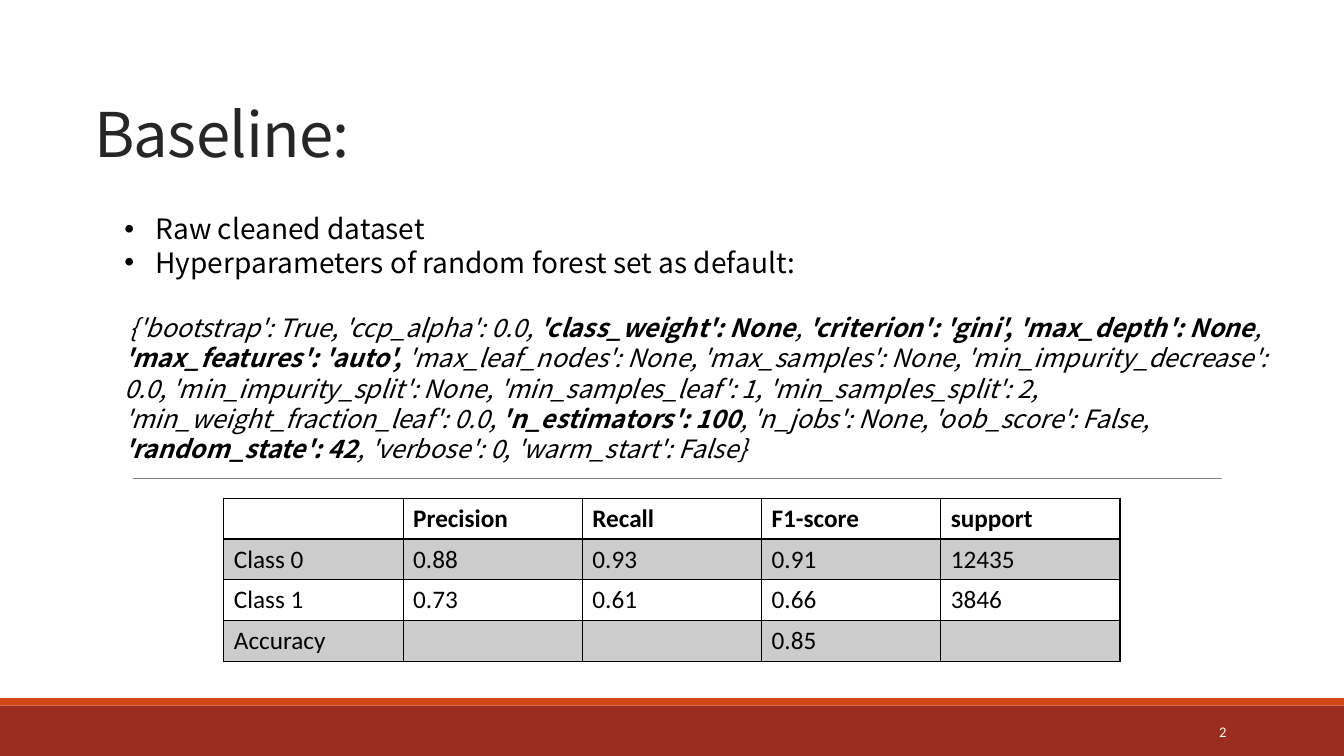
from lxml import etree
from pptx import Presentation
from pptx.dml.color import RGBColor
from pptx.enum.shapes import MSO_CONNECTOR, MSO_SHAPE
from pptx.enum.text import MSO_ANCHOR, MSO_AUTO_SIZE, PP_ALIGN
from pptx.oxml.ns import qn
from pptx.util import Inches, Pt

RECTANGLE = MSO_SHAPE.RECTANGLE
STRAIGHT = MSO_CONNECTOR.STRAIGHT
TOP, MIDDLE, BOTTOM = MSO_ANCHOR.TOP, MSO_ANCHOR.MIDDLE, MSO_ANCHOR.BOTTOM
LEFT, RIGHT = PP_ALIGN.LEFT, PP_ALIGN.RIGHT
NO_FIT = MSO_AUTO_SIZE.NONE
WIDTH, HEIGHT = Inches(13.33), Inches(7.5)
COLUMNS, ROWS = 160, 90
TEXT_FONT, DATA_FONT = "Noto Sans CJK TC", "Calibri"

BULLETS = ["Raw cleaned dataset", "Hyperparameters of random forest set as default:"]
SETTINGS = [
    (" {'bootstrap': True, 'ccp_alpha': 0.0, ", False),
    ("'class_weight': None", True),
    (", ", False),
    ("'criterion': 'gini', 'max_depth': None", True),
    (", ", False),
    ("'max_features': 'auto', ", True),
    ("'max_leaf_nodes': None, 'max_samples': None, 'min_impurity_decrease': 0.0, "
     "'min_impurity_split': None, 'min_samples_leaf': 1, 'min_samples_split': 2, "
     "'min_weight_fraction_leaf': 0.0, ", False),
    ("'n_estimators': 100", True),
    (", 'n_jobs': None, 'oob_score': False, ", False),
    ("'random_state': 42", True),
    (", 'verbose': 0, 'warm_start': False}", False),
]
SCORES = [
    ["", "Precision", "Recall", "F1-score", "support"],
    ["Class 0", "0.88", "0.93", "0.91", "12435"],
    ["Class 1", "0.73", "0.61", "0.66", "3846"],
    ["Accuracy", "", "", "0.85", ""],
]


def color(value):
    return RGBColor.from_string(value)


class SlideBuilder:
    """Draws styled elements on one slide, measured in grid columns and rows."""

    def __init__(self, deck):
        self.slide = deck.slides.add_slide(deck.slide_layouts[1])
        self.shapes = self.slide.shapes

    def area(self, column, row, columns, rows):
        return (int(column * WIDTH / COLUMNS), int(row * HEIGHT / ROWS),
                int(columns * WIDTH / COLUMNS), int(rows * HEIGHT / ROWS))

    def style(self, para, size, font, ink="000000", align=LEFT):
        para.font.size, para.font.name = Pt(size), font
        para.font.color.rgb = color(ink)
        para.alignment = align
        para.space_before = Pt(0)

    def place(self, box, area, anchor):
        box.left, box.top, box.width, box.height = self.area(*area)
        frame = box.text_frame
        frame.word_wrap, frame.auto_size = True, NO_FIT
        frame.vertical_anchor = anchor
        return frame

    def bar(self, area, fill):
        bar = self.shapes.add_shape(RECTANGLE, *self.area(*area))
        bar.shadow.inherit = False
        bar.fill.solid()
        bar.fill.fore_color.rgb = color(fill)
        bar.line.fill.background()

    def rule(self, column, row, columns, ink):
        left, top, width, _ = self.area(column, row, columns, 0)
        rule = self.shapes.add_connector(STRAIGHT, left, top, left + width, top)
        rule.line.color.rgb, rule.line.width = color(ink), Pt(0.5)
        etree.SubElement(rule._element.spPr, qn("a:effectLst"))

    def title(self, text, area):
        para = self.place(self.shapes.title, area, BOTTOM).paragraphs[0]
        span = para.add_run()
        span.text = text
        span._r.get_or_add_rPr().set("spc", "-50")
        self.style(para, 44, TEXT_FONT, "262626")
        para.line_spacing = 0.85

    def body(self, bullets, settings, area):
        frame = self.place(self.slide.placeholders[1], area, TOP)
        for index, text in enumerate(bullets):
            para = frame.paragraphs[0] if index == 0 else frame.add_paragraph()
            para.text = text
            self.style(para, 20, TEXT_FONT)
            self.indent(para, Inches(0.31), "buChar", char="•")
        para = frame.add_paragraph()
        for text, bold in settings:
            span = para.add_run()
            span.text, span.font.bold = text, bold
        self.style(para, 18, TEXT_FONT)
        para.font.italic = True
        para.space_before = Pt(24)
        self.indent(para, 0, "buNone")

    def indent(self, para, margin, bullet, **options):
        properties = para._p.get_or_add_pPr()
        properties.set("marL", str(margin))
        properties.set("indent", str(-margin))
        mark = etree.Element(qn("a:" + bullet), **options)
        properties.find(qn("a:defRPr")).addprevious(mark)

    def table(self, rows, area):
        table = self.shapes.add_table(len(rows), len(rows[0]), *self.area(*area)).table
        table.first_row = table.horz_banding = False
        for row_index, row in enumerate(rows):
            for column_index, text in enumerate(row):
                cell = table.cell(row_index, column_index)
                cell.text = text
                para = cell.text_frame.paragraphs[0]
                self.style(para, 18, DATA_FONT)
                para.font.bold = row_index == 0
                cell.fill.solid()
                cell.fill.fore_color.rgb = color("CCCCCC" if row_index % 2 else "FFFFFF")
                self.borders(cell, 2 if row_index == 0 else 1)

    def borders(self, cell, bottom):
        properties = cell._tc.get_or_add_tcPr()
        for index, (side, width) in enumerate(zip("LRTB", (1, 1, 1, bottom))):
            line = etree.Element(qn("a:ln" + side), w=str(Pt(width)))
            fill = etree.SubElement(line, qn("a:solidFill"))
            etree.SubElement(fill, qn("a:srgbClr"), val="000000")
            properties.insert(index, line)

    def page_number(self, text, area):
        box = self.shapes.add_textbox(*self.area(*area))
        para = self.place(box, area, MIDDLE).paragraphs[0]
        para.text = text
        self.style(para, 10.5, DATA_FONT, "FFFFFF", RIGHT)


def main():
    deck = Presentation()
    deck.slide_width, deck.slide_height = WIDTH, HEIGHT
    page = SlideBuilder(deck)
    page.bar((0, 84, COLUMNS, 6), "9B2D1F")
    page.bar((0, 83.1, COLUMNS, 0.9), "D34817")
    page.rule(15.85, 57, 129.6, "808080")
    page.title("Baseline:", (10, 4.7, 138, 16.2))
    page.table(SCORES, (26.65, 59.3, 106.7, 19.45))
    page.body(BULLETS, SETTINGS, (13.6, 24.6, 140.65, 43.2))
    page.page_number("2", (130, 84.7, 17.2, 4.8))
    deck.save("out.pptx")


if __name__ == "__main__":
    main()
